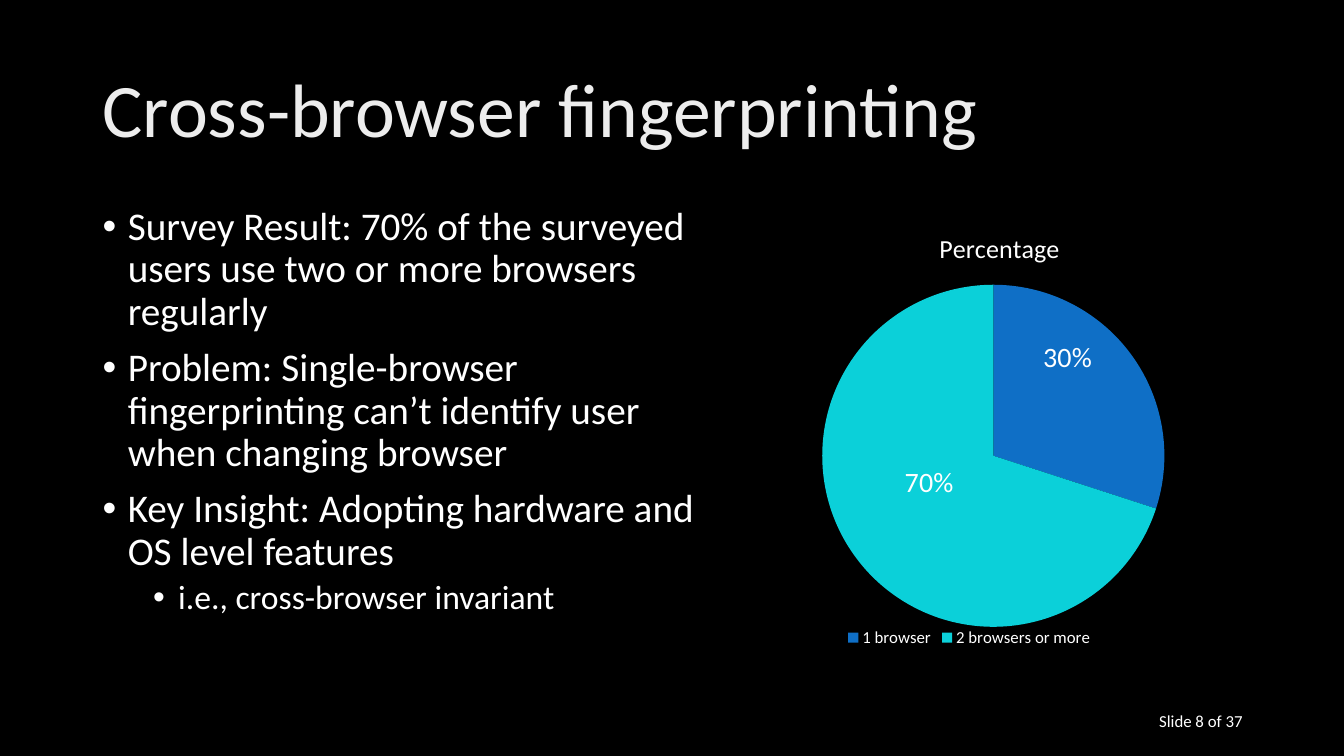
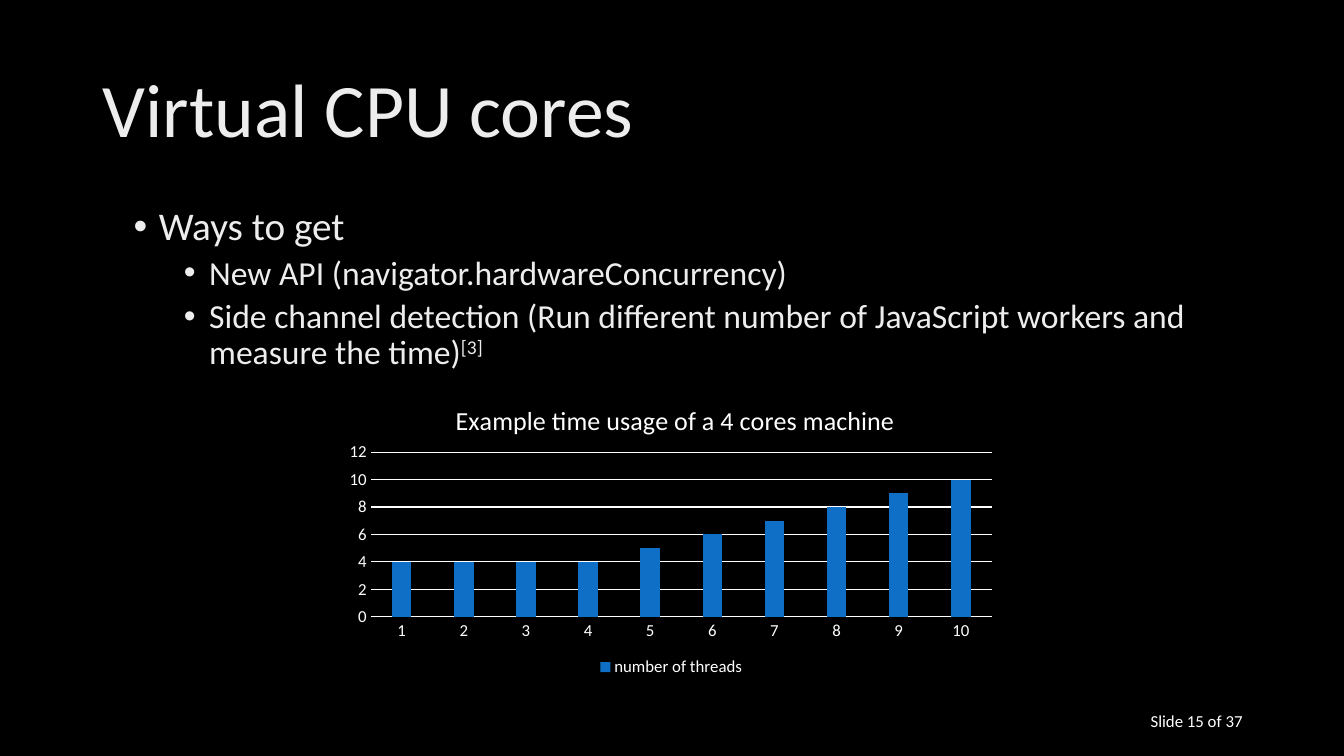
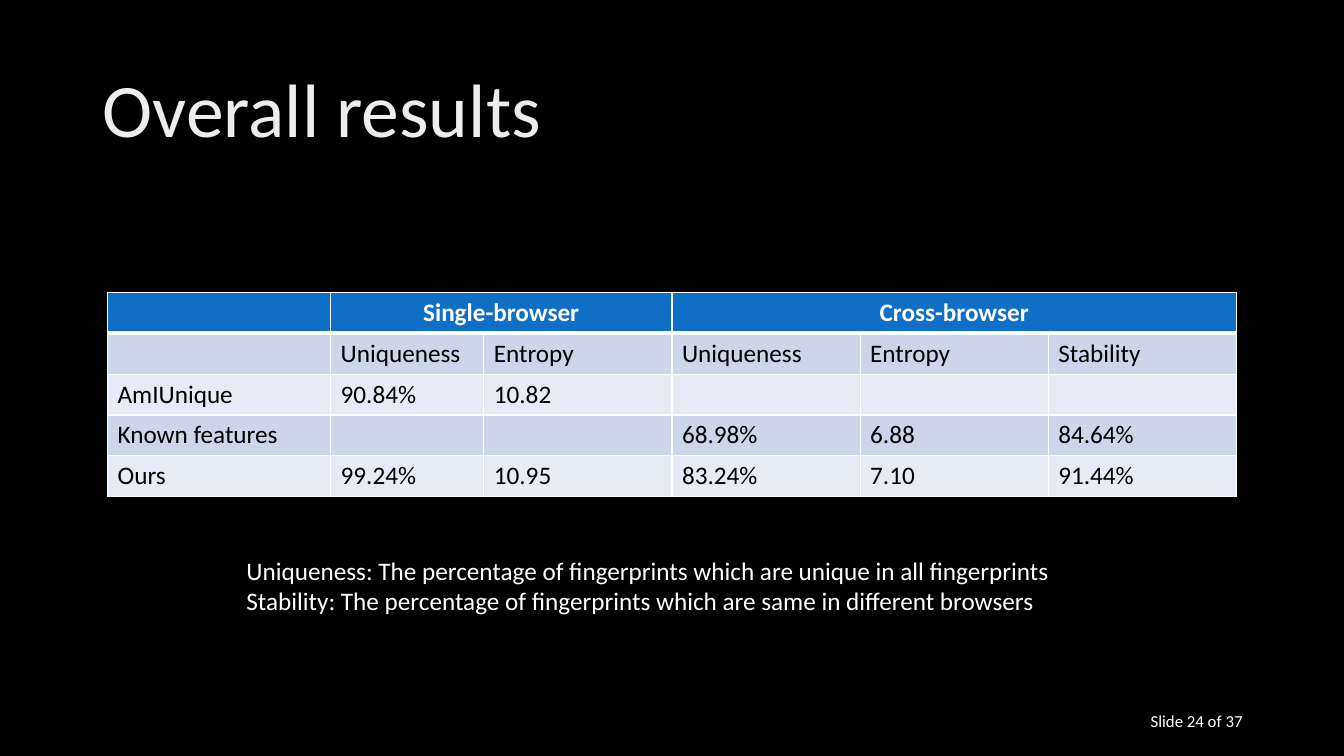
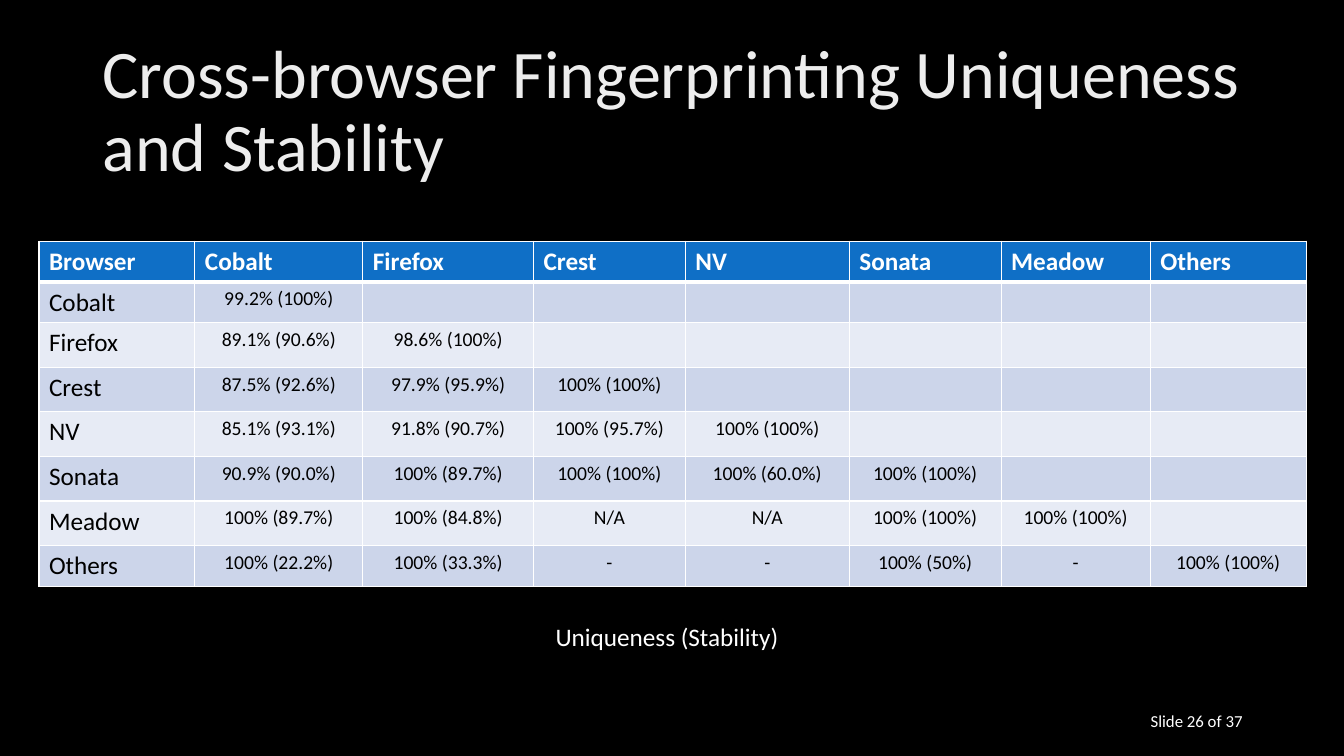
from lxml import etree
from pptx import Presentation
from pptx import util as u
from pptx.chart.data import CategoryChartData
from pptx.dml.color import RGBColor
from pptx.enum import chart as charts, text
from pptx.oxml.ns import qn

BLACK = RGBColor(0x00, 0x00, 0x00)
WHITE = RGBColor(0xFF, 0xFF, 0xFF)
SILVER = RGBColor(0xED, 0xED, 0xED)
BLUE = RGBColor(0x0F, 0x6F, 0xC6)
CYAN = RGBColor(0x0B, 0xD0, 0xD9)
BANDS = RGBColor(0xCC, 0xD5, 0xEA), RGBColor(0xE7, 0xEB, 0xF5)
LEFT, RIGHT, CENTER = text.PP_ALIGN.LEFT, text.PP_ALIGN.RIGHT, text.PP_ALIGN.CENTER


def place(element, index, x, y, w=None, h=None, offset=False):
    for old in element.findall(qn("c:layout")):
        element.remove(old)
    layout = etree.Element(qn("c:layout"))
    manual = etree.SubElement(layout, qn("c:manualLayout"))
    if w is not None:
        etree.SubElement(manual, qn("c:layoutTarget")).set("val", "inner")
    if not offset:
        for mode in ("xMode", "yMode"):
            etree.SubElement(manual, qn(f"c:{mode}")).set("val", "edge")
    for key, share in zip("xywh", (x, y, w, h)):
        if share is not None:
            etree.SubElement(manual, qn(f"c:{key}")).set("val", str(share))
    element.insert(index, layout)


class Deck:
    FONT = "Calibri"
    COLUMNS = ROWS = 100
    PAGES = 37

    def __init__(self):
        self.prs = Presentation()
        self.prs.slide_width = u.Inches(13.33)
        self.prs.slide_height = u.Inches(7.5)
        backdrop = self.prs.slide_master.background.fill
        backdrop.solid()
        backdrop.fore_color.rgb = BLACK
        self.slide = None

    def x(self, columns):
        return int(self.prs.slide_width * columns / self.COLUMNS)

    def y(self, rows):
        return int(self.prs.slide_height * rows / self.ROWS)

    def area(self, left, top, width, height):
        return self.x(left), self.y(top), self.x(width), self.y(height)

    def style(self, font, size, color=WHITE, bold=False):
        font.name, font.size, font.bold = self.FONT, u.Pt(size), bold
        font.color.rgb = color

    def page(self, title, number, size=54):
        self.slide = self.prs.slides.add_slide(self.prs.slide_layouts[6])
        heading = self.prose((6.9, 5.3, 86.2, 19.3), [title], size, SILVER, middle=True)
        heading.paragraphs[0].line_spacing = 0.9
        self.prose((70.7, 92.7, 22.5, 5.3), [f"Slide {number} of {self.PAGES}"],
                   12, align=RIGHT, middle=True)

    def frame(self, area, middle=False):
        frame = self.slide.shapes.add_textbox(*self.area(*area)).text_frame
        frame.word_wrap = True
        frame.vertical_anchor = text.MSO_ANCHOR.MIDDLE if middle else text.MSO_ANCHOR.TOP
        return frame

    def prose(self, area, lines, size=18, color=WHITE, align=LEFT, middle=False):
        frame = self.frame(area, middle)
        frame.text = "\n".join(lines)
        for line in frame.paragraphs:
            line.alignment = align
            self.style(line.font, size, color)
        return frame

    def bullets(self, area, points, color=WHITE):
        frame = self.frame(area)
        for i, (level, wording, *reference) in enumerate(points):
            line = frame.add_paragraph() if i else frame.paragraphs[0]
            line.level = level
            line.line_spacing = 0.9
            line.space_before = u.Pt((10, 5)[level] if i else 0)
            props = line._p.get_or_add_pPr()
            props.set("marL", str(u.Inches(0.25 + 0.5 * level)))
            props.set("indent", str(u.Inches(-0.25)))
            etree.SubElement(props, qn("a:buFont")).set("typeface", "Arial")
            etree.SubElement(props, qn("a:buChar")).set("char", "•")
            line.add_run().text = wording
            for mark in reference:
                raised = line.add_run()
                raised.text = mark
                raised.font._element.set("baseline", "30000")
            self.style(line.font, (28, 24)[level], color)

    def chart(self, kind, area, title, categories, series, values,
              title_at, plot_at, number_format="General"):
        data = CategoryChartData(number_format=number_format)
        data.categories = categories
        data.add_series(series, values)
        chart = self.slide.shapes.add_chart(kind, *self.area(*area), data).chart
        self.style(chart.font, 12)
        chart.has_title = True
        chart.chart_title.text_frame.text = title
        self.style(chart.chart_title.text_frame.paragraphs[0].font, 18.6)
        chart.has_legend = True
        chart.legend.position = charts.XL_LEGEND_POSITION.BOTTOM
        chart.legend.include_in_layout = False
        self.style(chart.legend.font, 12)
        place(chart.chart_title._element, 1, *title_at)
        place(chart._chartSpace.chart.plotArea, 0, *plot_at)
        return chart

    def pie(self, *content, slices, legend_at, **layout):
        chart = self.chart(charts.XL_CHART_TYPE.PIE, *content,
                           number_format="0%", **layout)
        plot = chart.plots[0]
        plot.vary_by_categories = True
        place(chart.legend._element, 1, *legend_at)
        for i, (color, shift) in enumerate(slices):
            point = plot.series[0].points[i]
            point.format.fill.solid()
            point.format.fill.fore_color.rgb = color
            label = point.data_label
            self.style(label.font, 20)
            label.position = charts.XL_LABEL_POSITION.CENTER
            place(label._get_or_add_dLbl(), 1, *shift, offset=True)

    def columns(self, *content, top, step, **layout):
        chart = self.chart(charts.XL_CHART_TYPE.COLUMN_CLUSTERED, *content, **layout)
        plot = chart.plots[0]
        plot.vary_by_categories = False
        plot.gap_width, plot.overlap = 219, -27
        bars = plot.series[0].format.fill
        bars.solid()
        bars.fore_color.rgb = BLUE
        scale = chart.value_axis
        scale.minimum_scale, scale.maximum_scale, scale.major_unit = 0, top, step
        scale.format.line.fill.background()
        for axis in (chart.category_axis, scale):
            axis.major_tick_mark = charts.XL_TICK_MARK.NONE
            self.style(axis.tick_labels.font, 12)
        for line in (chart.category_axis.format.line, scale.major_gridlines.format.line):
            line.width = u.Pt(0.75)
            line.color.rgb = WHITE

    def borders(self, cell, row):
        props = cell._tc.get_or_add_tcPr()
        widths = (1, 1, 3 if row == 1 else 1, 3 if row == 0 else 1)
        for i, (side, width) in enumerate(zip("LRTB", widths)):
            line = etree.Element(qn(f"a:ln{side}"), w=str(u.Pt(width)))
            fill = etree.SubElement(line, qn("a:solidFill"))
            etree.SubElement(fill, qn("a:srgbClr")).set("val", str(WHITE))
            props.insert(i, line)

    def table(self, left, top, widths, heights, rows, spans=(), values=(18, LEFT)):
        table = self.slide.shapes.add_table(
            len(rows), len(widths),
            *self.area(left, top, sum(widths), sum(heights))).table
        for column, width in zip(table.columns, widths):
            column.width = self.x(width)
        for r, (row, height) in enumerate(zip(rows, heights)):
            table.rows[r].height = self.y(height)
            for c in range(len(widths)):
                cell = table.cell(r, c)
                cell.fill.solid()
                cell.fill.fore_color.rgb = BANDS[(r + 1) % 2] if r else BLUE
                self.borders(cell, r)
                cell.text = row[c] if c < len(row) else ""
                line = cell.text_frame.paragraphs[0]
                size, line.alignment = values if r and c else (18, LEFT)
                self.style(line.font, size, BLACK if r else WHITE, bold=not r)
        for first, last in spans:
            table.cell(0, first).merge(table.cell(0, last))
            table.cell(0, first).text_frame.paragraphs[0].alignment = CENTER


def main():
    deck = Deck()

    deck.page("Cross-browser fingerprinting", 8)
    deck.pie((55.1, 26.7, 38, 63.4), "Percentage",
             ["1 browser", "2 browsers or more"], "Series 1", [0.3, 0.7],
             slices=[(BLUE, (0.01, -0.1)), (CYAN, (0.01, -0.05))],
             title_at=(0.38, 0.05), plot_at=(0.16, 0.17, 0.67, 0.72),
             legend_at=(0.2, 0.88))
    deck.bullets((6.9, 26.7, 48.2, 63.4), [
        (0, "Survey Result: 70% of the surveyed users use two or more browsers regularly"),
        (0, "Problem: Single-browser fingerprinting can’t identify user when changing browser"),
        (0, "Key Insight: Adopting hardware and OS level features"),
        (1, "i.e., cross-browser invariant"),
    ])

    deck.page("Virtual CPU cores", 15)
    deck.bullets((9.2, 26.7, 83.9, 63.4), [
        (0, "Ways to get"),
        (1, "New API (navigator.hardwareConcurrency)"),
        (1, "Side channel detection (Run different number of JavaScript workers "
            "and measure the time)", "[3]"),
    ], SILVER)
    threads = range(1, 11)
    deck.columns((25.1, 49.7, 49.7, 40.4), "Example time usage of a 4 cores machine",
                 [str(n) for n in threads], "number of threads",
                 [max(4, n) for n in threads], top=12, step=2,
                 title_at=(0.17, 0.07), plot_at=(0.05, 0.25, 0.93, 0.54))

    deck.page("Overall results", 24)
    deck.table(8, 38.7, [16.6, 11.4] + [14] * 4, [5.4] * 5, [
        ["", "Single-browser", "", "Cross-browser"],
        ["", "Uniqueness", "Entropy", "Uniqueness", "Entropy", "Stability"],
        ["AmIUnique", "90.84%", "10.82"],
        ["Known features", "", "", "68.98%", "6.88", "84.64%"],
        ["Ours", "99.24%", "10.95", "83.24%", "7.10", "91.44%"],
    ], spans=[(1, 2), (3, 5)])
    deck.prose((17.6, 72.8, 64.7, 9.5), [
        "Uniqueness: The percentage of fingerprints which are unique in all fingerprints",
        "Stability: The percentage of fingerprints which are same in different browsers",
    ])

    deck.page("Cross-browser Fingerprinting Uniqueness and Stability", 26, size=48.6)
    browsers = ["Cobalt", "Firefox", "Crest", "NV", "Sonata", "Meadow", "Others"]
    pairs = [
        ["99.2% (100%)"],
        ["89.1% (90.6%)", "98.6% (100%)"],
        ["87.5% (92.6%)", "97.9% (95.9%)", "100% (100%)"],
        ["85.1% (93.1%)", "91.8% (90.7%)", "100% (95.7%)", "100% (100%)"],
        ["90.9% (90.0%)", "100% (89.7%)", "100% (100%)", "100% (60.0%)", "100% (100%)"],
        ["100% (89.7%)", "100% (84.8%)", "N/A", "N/A", "100% (100%)", "100% (100%)"],
        ["100% (22.2%)", "100% (33.3%)", "-", "-", "100% (50%)", "-", "100% (100%)"],
    ]
    deck.table(2.9, 31.9, [11.6, 12.5, 12.7, 11.3, 12.2, 11.3, 11.1, 11.6],
               [5.4] * 2 + [5.9] * 5 + [5.4],
               [["Browser", *browsers]] + [[name, *row] for name, row in zip(browsers, pairs)],
               values=(14, CENTER))
    deck.prose((40.6, 81.5, 19.7, 5.3), ["Uniqueness (Stability)"])

    deck.prs.save("out.pptx")


if __name__ == "__main__":
    main()
